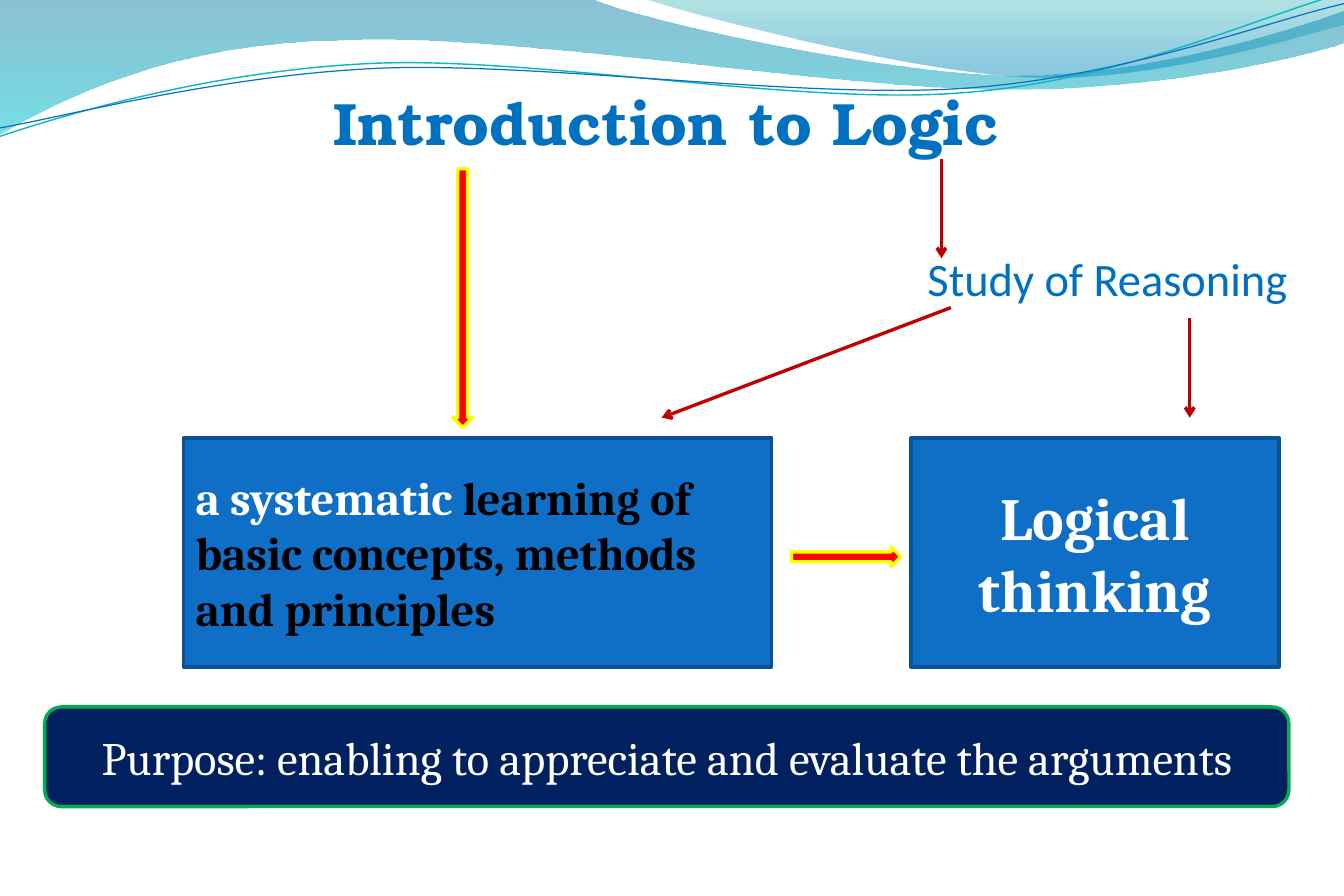
from pptx import Presentation, util as u
from pptx.dml.color import RGBColor
from pptx.enum import shapes, text
from pptx.oxml.ns import qn
from lxml import etree

WHITE = RGBColor(0xFF, 0xFF, 0xFF)
BLACK = RGBColor(0, 0, 0)
BLUE = RGBColor(0x0F, 0x6F, 0xC6)
EDGE = RGBColor(0x0B, 0x52, 0x92)
HEAD = RGBColor(0x00, 0x70, 0xC0)
NAVY = RGBColor(0x00, 0x20, 0x60)
GREEN = RGBColor(0x00, 0xB0, 0x50)
RED = RGBColor(0xFF, 0, 0)
DARK = RGBColor(0xC0, 0, 0)
YELLOW = RGBColor(0xFF, 0xFF, 0)
TEAL = RGBColor(0x0A, 0xB8, 0xBF)
DEEP = RGBColor(0x00, 0x74, 0xA1)
CYAN = RGBColor(0x00, 0xC6, 0xCF)
SEA = RGBColor(0x00, 0xA1, 0xA9)
SKY = RGBColor(0x00, 0x8B, 0xBF)

WIDE, HIGH = 28.58, 19.05
KIND = shapes.MSO_SHAPE
ALIGN = text.PP_ALIGN

BANDS = [
    ([(0, -.03), (12.57, -.03), (13.59, .43, 18.95, 1.6, 21.67, 1.6),
      (24.38, 1.6, 27.38, .66, 28.58, .23), (28.6, .91),
      (28.09, 1.12, 24.87, 1.93, 21.31, 1.91),
      (17.78, 1.91, 10.9, .71, 7.34, .86),
      (3.68, .89, 1.32, 2.11, -.03, 2.87)],
     [(0, DEEP, 45), (1, CYAN, 55)]),
    ([(13.69, -.03), (14.55, .28, 19.48, 1.57, 21.97, 1.65),
      (24.46, 1.75, 27.48, .81, 28.58, .53), (28.58, 0)],
     [(0, SEA, 30), (.8, SKY, 45)]),
]
CURVES = [
    ([(0, 2.9), (1.37, 2.44, 4.52, 1.5, 7.9, 1.35),
      (11.3, 1.19, 16.92, 2.24, 20.37, 1.98),
      (23.8, 1.75, 26.82, .33, 28.52, -.13)], TEAL, .85),
    ([(0, 2.72), (1.35, 2.49, 4.67, 1.6, 8.1, 1.45),
      (11.51, 1.32, 17.07, 2.11, 20.47, 1.88),
      (23.9, 1.65, 26.9, .46, 28.58, .08)], BLUE, .75),
]


def outline(slide, box, steps, close):
    dots = [(u.Cm(box[0] + step[i]), u.Cm(box[1] + step[i + 1]))
            for step in steps for i in range(0, len(step), 2)]
    pen = slide.shapes.build_freeform(*dots[0], scale=1.0)
    pen.add_line_segments(dots[1:], close=close)
    shape = pen.convert_to_shape()
    shape.shadow.inherit = False
    lines = iter(list(shape._element.iter(qn("a:lnTo"))))
    for step in steps[1:]:
        line = next(lines)
        if len(step) == 6:
            line.tag = qn("a:cubicBezTo")
            for spare in (next(lines), next(lines)):
                line.append(spare[0])
                spare.getparent().remove(spare)
    return shape


def waves(slide, box):
    for steps, stops in BANDS:
        band = outline(slide, box, steps, True)
        band.line.fill.background()
        band.fill.gradient()
        band.fill.gradient_angle = 270
        for stop, (place, color, alpha) in zip(band.fill.gradient_stops, stops):
            stop.position = place
            stop.color.rgb = color
        for tone, (place, color, alpha) in zip(band._element.iter(qn("a:srgbClr")), stops):
            etree.SubElement(tone, qn("a:alpha")).set("val", str(alpha * 1000))
    for steps, color, width in CURVES:
        curve = outline(slide, box, steps, False)
        curve.fill.background()
        curve.line.color.rgb = color
        curve.line.width = u.Pt(width)


def style(para, name, size, color, bold, align):
    para.alignment = align
    para.space_before = u.Pt(0)
    font = para.font
    font.name, font.size, font.bold = name, u.Pt(size), bold
    font.color.rgb = color


def label(holder, box, words, name, size, bold, align):
    holder.left, holder.top, holder.width, holder.height = map(u.Cm, box)
    frame = holder.text_frame
    frame.text = words
    frame.auto_size = text.MSO_AUTO_SIZE.NONE
    frame.vertical_anchor = text.MSO_ANCHOR.MIDDLE
    frame.margin_left, frame.margin_right = 0, u.Cm(.05)
    para = frame.paragraphs[0]
    props = para._p.get_or_add_pPr()
    props.set("marL", "0")
    props.set("indent", "0")
    etree.SubElement(props, qn("a:buNone"))
    style(para, name, size, HEAD, bold, align)


def heads(slide, box):
    left, top, width = box
    label(slide.shapes.title, (left, top, width, 1.8), "Introduction to Logic",
          "TeX Gyre Bonum", 36, True, ALIGN.CENTER)
    label(slide.placeholders[1], (left, top + 3.33, width, 1.8), "Study of Reasoning",
          "Calibri", 28, False, ALIGN.RIGHT)


def block(slide, kind, box, fill, edge):
    shape = slide.shapes.add_shape(kind, *map(u.Cm, box))
    shape.shadow.inherit = False
    shape.fill.solid()
    shape.fill.fore_color.rgb = fill
    shape.line.color.rgb = edge
    shape.line.width = u.Pt(2)
    return shape


def panel(slide, kind, box, fill, edge, runs, size, bold, align):
    frame = block(slide, kind, box, fill, edge).text_frame
    frame.word_wrap = True
    frame.vertical_anchor = text.MSO_ANCHOR.MIDDLE
    para = frame.paragraphs[0]
    style(para, "Cambria", size, WHITE, bold, align)
    for words, color in runs:
        run = para.add_run()
        run.text = words
        run.font.color.rgb = color


def arrow(slide, start, end):
    link = slide.shapes.add_connector(shapes.MSO_CONNECTOR.STRAIGHT,
                                      *map(u.Cm, start + end))
    link.line.color.rgb = DARK
    link.line.width = u.Pt(2)
    props = link._element.spPr
    etree.SubElement(props.find(qn("a:ln")), qn("a:tailEnd")).set("type", "arrow")
    etree.SubElement(props, qn("a:effectLst"))


def chart(slide, box):
    x, y, width, height = box
    for start, end in [((16.11, -5.94), (16.11, -3.82)),
                       ((21.39, -2.54), (21.39, -.43)),
                       ((16.31, -2.77), (10.16, -.43))]:
        arrow(slide, (x + start[0], y + start[1]), (x + end[0], y + end[1]))
    panel(slide, KIND.RECTANGLE, (x, y, 12.5, height), BLUE, EDGE,
          [("a systematic", WHITE),
           (" learning of basic concepts, methods and principles", BLACK)],
          28, True, ALIGN.LEFT)
    panel(slide, KIND.RECTANGLE, (x + width - 7.83, y, 7.83, height), BLUE, EDGE,
          [("Logical thinking", WHITE)], 36, True, ALIGN.CENTER)
    block(slide, KIND.DOWN_ARROW, (x + 5.72, y - 5.72, .42, 5.5), RED, YELLOW)
    block(slide, KIND.RIGHT_ARROW, (x + 12.92, y + 2.32, 2.33, .42), RED, YELLOW)


def main():
    deck = Presentation()
    deck.slide_width, deck.slide_height = u.Cm(WIDE), u.Cm(HIGH)
    slide = deck.slides.add_slide(deck.slide_layouts[1])
    waves(slide, (0, 0))
    heads(slide, (.96, 1.68, 26.46))
    chart(slide, (3.91, 9.31, 23.29, 4.87))
    panel(slide, KIND.ROUNDED_RECTANGLE, (.95, 15.03, 26.46, 2.12), NAVY, GREEN,
          [("Purpose: enabling to appreciate and evaluate the arguments", WHITE)],
          28, False, ALIGN.CENTER)
    deck.save("out.pptx")


if __name__ == "__main__":
    main()
